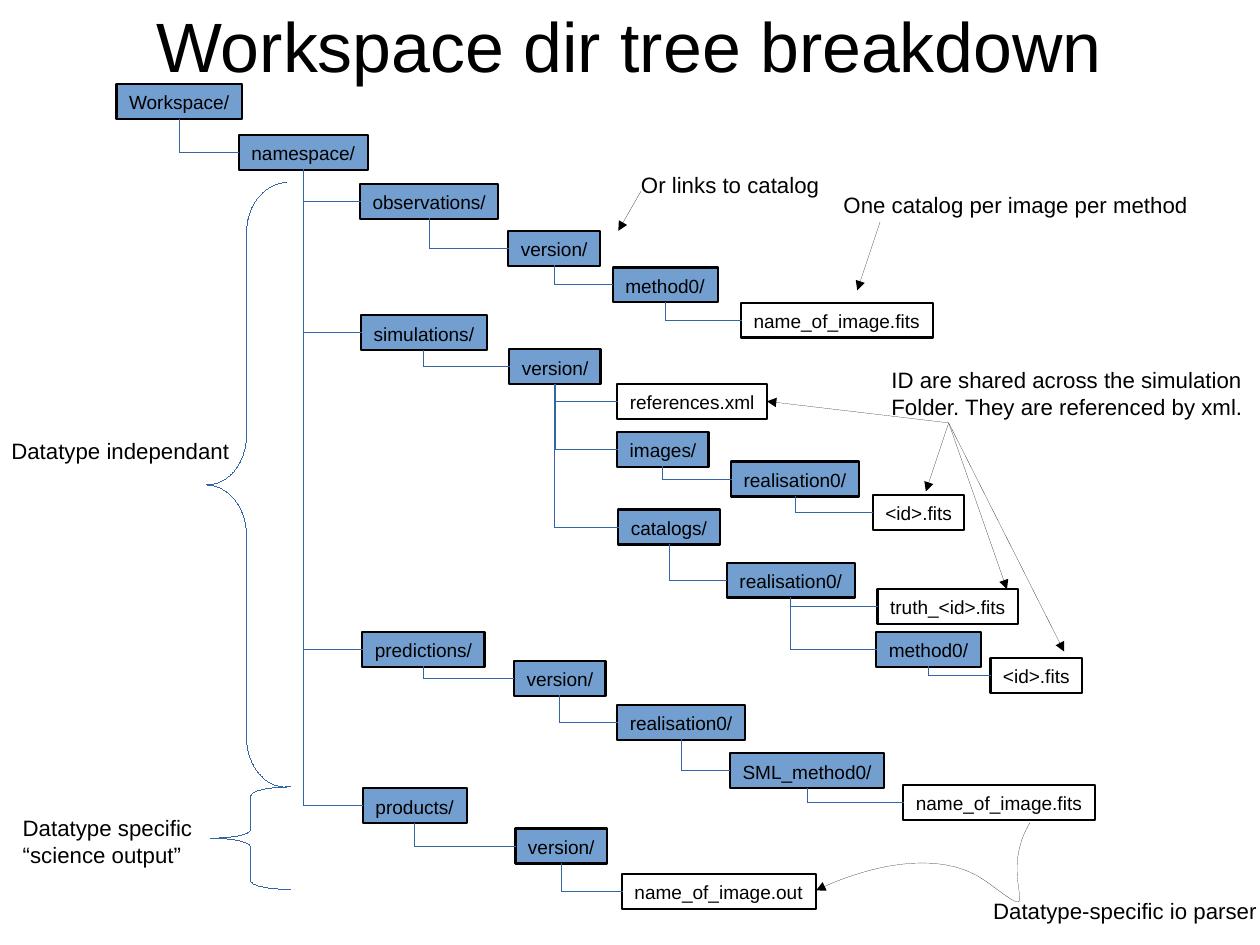
from dataclasses import dataclass

from lxml import etree
from pptx import Presentation
from pptx.dml.color import RGBColor
from pptx.enum.shapes import MSO_CONNECTOR, MSO_SHAPE
from pptx.enum.text import MSO_ANCHOR, MSO_AUTO_SIZE, PP_ALIGN
from pptx.oxml.ns import qn
from pptx.util import Pt

RECTANGLE, LEFT_BRACE = MSO_SHAPE.RECTANGLE, MSO_SHAPE.LEFT_BRACE
STRAIGHT, ELBOW = MSO_CONNECTOR.STRAIGHT, MSO_CONNECTOR.ELBOW
TOP, MIDDLE = MSO_ANCHOR.TOP, MSO_ANCHOR.MIDDLE
LEFT, CENTER = PP_ALIGN.LEFT, PP_ALIGN.CENTER
NO_AUTOSIZE = MSO_AUTO_SIZE.NONE
LEFT_SIDE, BOTTOM_SIDE, RIGHT_SIDE = 1, 2, 3
TITLE_ONLY = 5


@dataclass(frozen=True)
class Theme:
    font: str = "Arial"
    ink: RGBColor = RGBColor(0, 0, 0)
    folder: RGBColor = RGBColor(0x72, 0x9F, 0xCF)
    branch: RGBColor = RGBColor(0x34, 0x65, 0xA4)
    title_size: float = 44
    note_size: float = 14
    node_size: float = 12
    border: float = 1.45
    hairline: float = 0.01
    node_height: float = 22


@dataclass(frozen=True)
class Node:
    """A directory (name ends in a slash) or file, below the last node one level up."""
    level: int
    name: str
    left: float
    top: float
    width: float


@dataclass(frozen=True)
class Note:
    text: str
    left: float
    top: float
    width: float
    height: float


@dataclass(frozen=True)
class Brace:
    left: float
    top: float
    width: float
    height: float
    curl: float


@dataclass(frozen=True)
class Arrow:
    start: tuple[float, float]
    end: tuple[float, float]
    target: str = ""


THEME = Theme()
SHARED_ID = (597.6, 266.4)

TREE = [
    Node(0, "Workspace/", 73.4, 53, 79.2),
    Node(1, "namespace/", 150.5, 85, 81.4),
    Node(2, "observations/", 226.8, 115.9, 87.1),
    Node(3, "version/", 320.2, 145.5, 57.6),
    Node(4, "method0/", 386, 168.5, 66.2),
    Node(5, "name_of_image.fits", 466.8, 190.7, 121),
    Node(2, "simulations/", 227.5, 198.6, 79.2),
    Node(3, "version/", 320.8, 220, 57.6),
    Node(4, "references.xml", 388.8, 241.8, 94.3),
    Node(4, "images/", 388.8, 272, 57.6),
    Node(5, "realisation0/", 460.5, 290.8, 80.6),
    Node(6, "<id>.fits", 549.8, 311.7, 57.6),
    Node(4, "catalogs/", 389.5, 321, 64.1),
    Node(5, "realisation0/", 457.9, 354.5, 80.6),
    Node(6, "truth_<id>.fits", 552.8, 371, 88.6),
    Node(6, "method0/", 552, 398, 66.2),
    Node(7, "<id>.fits", 623.9, 414.4, 57.6),
    Node(2, "predictions/", 228.2, 398, 77),
    Node(3, "version/", 323.8, 416.4, 57.6),
    Node(4, "realisation0/", 388.8, 444, 80.6),
    Node(5, "SML_method0/", 459.8, 474.5, 97.2),
    Node(6, "name_of_image.fits", 569, 494.4, 121),
    Node(2, "products/", 228.6, 496.5, 65.5),
    Node(3, "version/", 324.7, 522, 57.6),
    Node(4, "name_of_image.out", 391.8, 550.5, 122.4),
]

NOTES = [
    Note("Or links to catalog", 396.7, 104.2, 126.7, 23),
    Note("One catalog per image per method", 524.2, 117, 231.1, 23),
    Note("ID are shared across the simulation\nFolder. They are referenced by xml.",
         554.4, 227.5, 236.2, 39),
    Note("Datatype independant", 0, 272.2, 151.9, 23),
    Note("Datatype specific\v“science output”", 7.2, 509.3, 121.7, 39),
    Note("Datatype-specific io parser", 618.5, 561.4, 180.7, 23),
]

BRACES = [Brace(130.1, 115, 50.4, 380.9, 0.63), Brace(132.8, 495.7, 50.4, 64.6, 0.11)]

ARROWS = [
    Arrow((403.9, 120.2), (389.5, 145.4)),
    Arrow((554.4, 139.7), (540, 182.9)),
    Arrow(SHARED_ID, (483.1, 253), target="references.xml"),
    Arrow(SHARED_ID, (583.2, 309.6)),
    Arrow(SHARED_ID, (634.3, 371.2)),
    Arrow(SHARED_ID, (670.3, 410.4)),
]

PARSER_CURVE = [
    [(648.7, 518.4), (626.4, 555.8), (662.4, 586.1), (622.1, 555.8)],
    [(622.1, 555.8), (581.8, 525.6), (514.1, 560.9), (514.1, 560.9)],
]


def write(shape, text: str, *, size: float, align=LEFT, anchor=TOP,
          inset: tuple[float, float] = (0, 0), wrap: bool = False) -> None:
    frame = shape.text_frame
    frame.text = text
    frame.auto_size = NO_AUTOSIZE
    frame.word_wrap = wrap
    frame.vertical_anchor = anchor
    frame.margin_left = frame.margin_right = Pt(inset[0])
    frame.margin_top = frame.margin_bottom = Pt(inset[1])
    for paragraph in frame.paragraphs:
        paragraph.alignment = align
        for run in paragraph.runs:
            run.font.name, run.font.size = THEME.font, Pt(size)
            run.font.color.rgb = THEME.ink


def outline(shape, color: RGBColor, width: float, arrowhead: bool = False) -> None:
    shape.line.color.rgb = color
    shape.line.width = Pt(width)
    if arrowhead:
        etree.SubElement(shape.line._get_or_add_ln(), qn("a:tailEnd"), type="triangle")


def add_line(shapes, kind, start: tuple, end: tuple, color: RGBColor, arrowhead: bool = False):
    line = shapes.add_connector(kind, *map(Pt, start + end))
    outline(line, color, THEME.hairline, arrowhead)
    etree.SubElement(line._element.spPr, qn("a:effectLst"))
    return line


def add_node(shapes, node: Node):
    box = shapes.add_shape(RECTANGLE, Pt(node.left), Pt(node.top), Pt(node.width),
                           Pt(THEME.node_height))
    box.shadow.inherit = False
    if node.name.endswith("/"):
        box.fill.solid()
        box.fill.fore_color.rgb = THEME.folder
    else:
        box.fill.background()
    outline(box, THEME.ink, THEME.border)
    write(box, node.name, size=THEME.node_size, inset=(7.9, 4.3))
    return box


def add_branch(shapes, parent, child) -> None:
    """Join a parent's bottom to a child's left side with a single right-angle bend."""
    branch = add_line(shapes, ELBOW, (0, 0), (1, 1), THEME.branch)
    branch.begin_connect(parent, BOTTOM_SIDE)
    branch.end_connect(child, LEFT_SIDE)
    across, down = branch.width, branch.height
    # A quarter turn swaps the sides of the frame around its centre.
    branch.left += (across - down) // 2
    branch.top += (down - across) // 2
    branch.width, branch.height = down, across
    branch.rotation = 270
    properties = branch._element.spPr
    properties.find(qn("a:xfrm")).set("flipH", "1")
    properties.find(qn("a:prstGeom")).set("prst", "bentConnector2")


def add_brace(shapes, brace: Brace) -> None:
    shape = shapes.add_shape(LEFT_BRACE, Pt(brace.left), Pt(brace.top), Pt(brace.width),
                             Pt(brace.height))
    shape.adjustments[0] = brace.curl
    shape.shadow.inherit = False
    shape.fill.background()
    outline(shape, THEME.branch, THEME.hairline)


def bezier(controls: list, t: float) -> tuple[int, int]:
    weights = ((1 - t) ** 3, 3 * t * (1 - t) ** 2, 3 * t * t * (1 - t), t ** 3)
    x, y = (sum(w * p[axis] for w, p in zip(weights, controls)) for axis in (0, 1))
    return Pt(x), Pt(y)


def add_curved_arrow(shapes, segments: list, steps: int = 20) -> None:
    points = [bezier(part, i / steps) for part in segments for i in range(1, steps + 1)]
    builder = shapes.build_freeform(*bezier(segments[0], 0))
    builder.add_line_segments(points, close=False)
    curve = builder.convert_to_shape()
    curve.shadow.inherit = False
    curve.fill.background()
    outline(curve, THEME.ink, THEME.hairline, arrowhead=True)


def main() -> None:
    deck = Presentation()
    deck.slide_width, deck.slide_height = Pt(793.7), Pt(595.28)
    slide = deck.slides.add_slide(deck.slide_layouts[TITLE_ONLY])
    shapes = slide.shapes

    title = shapes.title
    title.left, title.top, title.width, title.height = map(Pt, (39.6, -21.6, 714.2, 99.4))
    write(title, "Workspace dir tree breakdown", size=THEME.title_size, align=CENTER,
          anchor=MIDDLE, wrap=True)

    latest, named = {}, {}
    for node in TREE:
        box = named[node.name] = latest[node.level] = add_node(shapes, node)
        if node.level:
            add_branch(shapes, latest[node.level - 1], box)
    for brace in BRACES:
        add_brace(shapes, brace)
    for note in NOTES:
        box = shapes.add_textbox(Pt(note.left), Pt(note.top), Pt(note.width), Pt(note.height))
        write(box, note.text, size=THEME.note_size, inset=(7.2, 3.6))
    for arrow in ARROWS:
        line = add_line(shapes, STRAIGHT, arrow.start, arrow.end, THEME.ink, arrowhead=True)
        if arrow.target:
            line.end_connect(named[arrow.target], RIGHT_SIDE)
    add_curved_arrow(shapes, PARSER_CURVE)
    deck.save("out.pptx")


if __name__ == "__main__":
    main()
